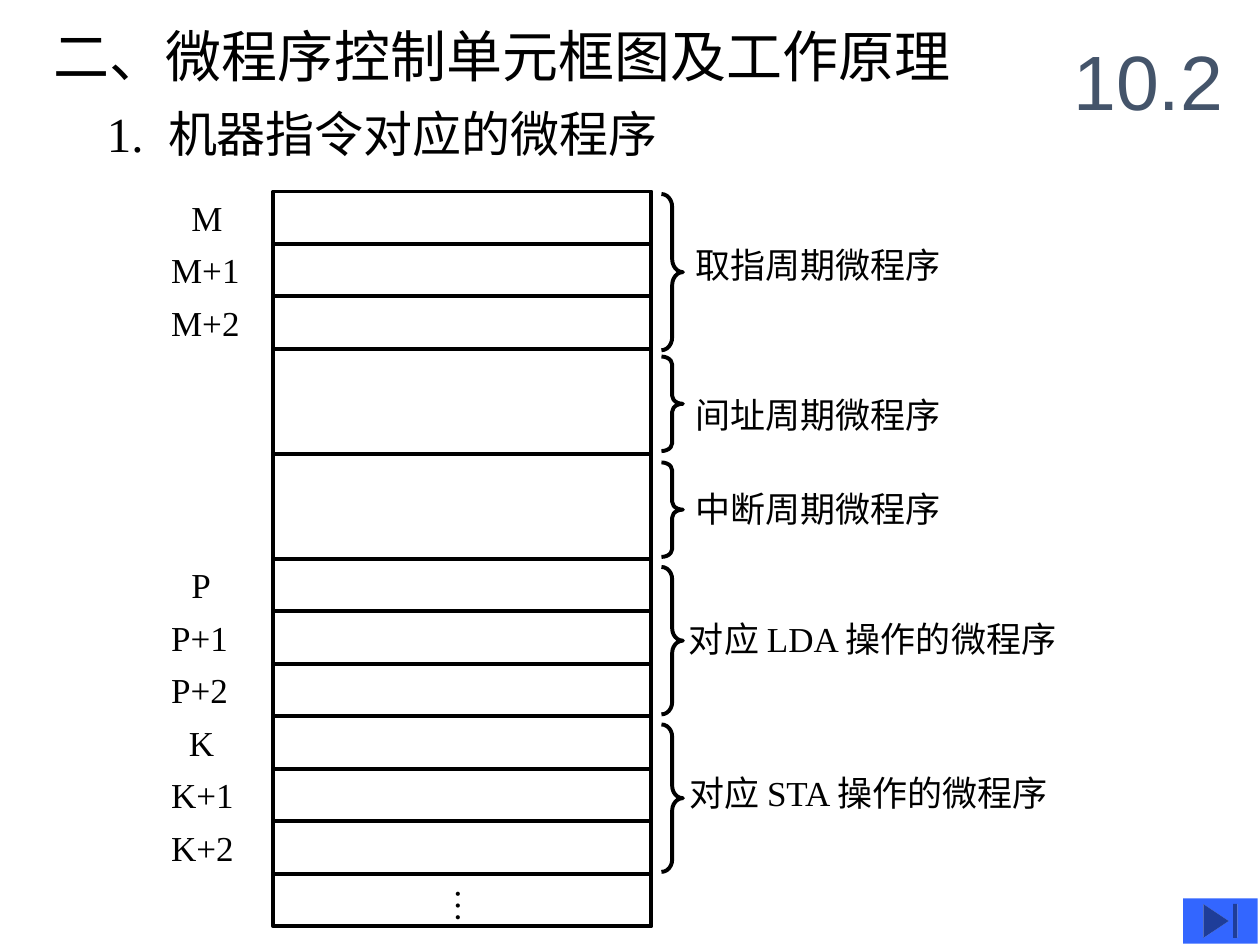
from pptx import Presentation
from pptx.dml.color import RGBColor
from pptx.enum.shapes import MSO_CONNECTOR as Conn, MSO_SHAPE as Shape
from pptx.enum.text import MSO_ANCHOR as Anchor, MSO_AUTO_SIZE as AutoSize
from pptx.oxml.ns import qn
from pptx.util import Inches, Pt
from lxml.etree import SubElement

THEME = {
    "ink": RGBColor.from_string("000000"),
    "number": RGBColor.from_string("44546A"),
    "button": RGBColor.from_string("3366FF"),
    "serif": "Times New Roman", "sans": "Arial",
    "title": 32, "subtitle": 28, "label": 20, "section": 44, "line": 2.25,
}
TITLE = "二、微程序控制单元框图及工作原理"
SUBTITLE = "1.  机器指令对应的微程序"
SECTION = "10.2"

ADDRESSES = [
    (0, [("M", 1.42, 0.45), ("M+1", 1.26, 0.74), ("M+2", 1.26, 0.74)]),
    (7, [("P", 1.42, 0.35), ("P+1", 1.26, 0.65), ("P+2", 1.26, 0.65),
         ("K", 1.4, 0.4), ("K+1", 1.26, 0.7), ("K+2", 1.26, 0.7)]),
]
ROUTINES = [
    ("取指周期微程序", 1.54, 1.24, 5.42, 1.88, 2.15),
    ("间址周期微程序", 2.83, 0.75, 5.42, 3.07, 2.15),
    ("中断周期微程序", 3.67, 0.75, 5.42, 3.82, 2.15),
    ("对应 LDA 操作的微程序", 4.5, 1.17, 5.37, 4.85, 3.26),
    ("对应 STA 操作的微程序", 5.75, 1.17, 5.37, 6.07, 3.21),
]
MEM_X, MEM_Y, MEM_W = 2.17, 1.52, 3
UNIT = 5 / 12
CELL_ROWS = [0, 1, 2, *range(7, 14)]
GAP_TOP, GAP_MIDDLE, GAP_BOTTOM = 3, 5, 7
BRACE_X, BRACE_W = 5.25, 0.17

prs = Presentation()
prs.slide_width, prs.slide_height = Inches(10), Inches(7.5)
s = prs.slides.add_slide(prs.slide_layouts[6])


def row_y(row):
    return MEM_Y + row * UNIT


def add_text(text, x, y, w, h, size="label", font="serif", color="ink", wrap=False):
    sp = s.shapes.add_textbox(Inches(x), Inches(y), Inches(w), Inches(h))
    tf = sp.text_frame
    tf.word_wrap = wrap
    tf.auto_size = AutoSize.SHAPE_TO_FIT_TEXT
    r = tf.paragraphs[0].add_run()
    r.text = text
    r.font.name, r.font.size = THEME[font], Pt(THEME[size])
    r.font.color.rgb = THEME[color]
    return tf


def set_line(sp):
    sp.line.color.rgb = THEME["ink"]
    sp.line.width = Pt(THEME["line"])


def add_outline(kind, x, y, w, h):
    sp = s.shapes.add_shape(kind, Inches(x), Inches(y), Inches(w), Inches(h))
    sp.shadow.inherit = False
    sp.fill.background()
    set_line(sp)
    return sp


def add_line(x1, y1, x2, y2):
    sp = s.shapes.add_connector(
        Conn.STRAIGHT, Inches(x1), Inches(y1), Inches(x2), Inches(y2))
    set_line(sp)
    SubElement(sp._element.spPr, qn("a:effectLst"))


add_text(TITLE, 0.33, 0.12, 8, 0.64, "title", wrap=True)
add_text(SUBTITLE, 0.75, 0.77, 5.33, 0.57, "subtitle", wrap=True)

for row in CELL_ROWS:
    add_outline(Shape.RECTANGLE, MEM_X, row_y(row), MEM_W, UNIT)
for x in (MEM_X, MEM_X + MEM_W):
    add_line(x, row_y(GAP_TOP), x, row_y(GAP_BOTTOM))
add_line(MEM_X, row_y(GAP_MIDDLE), MEM_X + MEM_W, row_y(GAP_MIDDLE))

for first, labels in ADDRESSES:
    for row, (text, x, w) in enumerate(labels, first):
        add_text(text, x, row_y(row) - 0.01, w, 0.44)

tf = add_text("…", 3.42, 6.95, 0.53, 0.38)
tf._txBody.bodyPr.set("vert", "eaVert")
tf.margin_left = tf.margin_right = Inches(0.05)
tf.margin_top = tf.margin_bottom = Inches(0.1)

for text, top, height, x, y, w in ROUTINES:
    brace = add_outline(Shape.RIGHT_BRACE, BRACE_X, top, BRACE_W, height)
    brace.adjustments[0] = height / 12 / BRACE_W
    add_text(text, x, y, w, 0.44)

tf = add_text(SECTION, 8.42, 0.17, 1.58, 0.92, "section", "sans", "number", True)
tf.auto_size = AutoSize.NONE
tf.vertical_anchor = Anchor.MIDDLE

button = s.shapes.add_shape(
    Shape.ACTION_BUTTON_END, Inches(9.39), Inches(7.13), Inches(0.59), Inches(0.36))
button.shadow.inherit = False
button.fill.solid()
button.fill.fore_color.rgb = THEME["button"]
button.line.fill.background()

prs.save("out.pptx")
